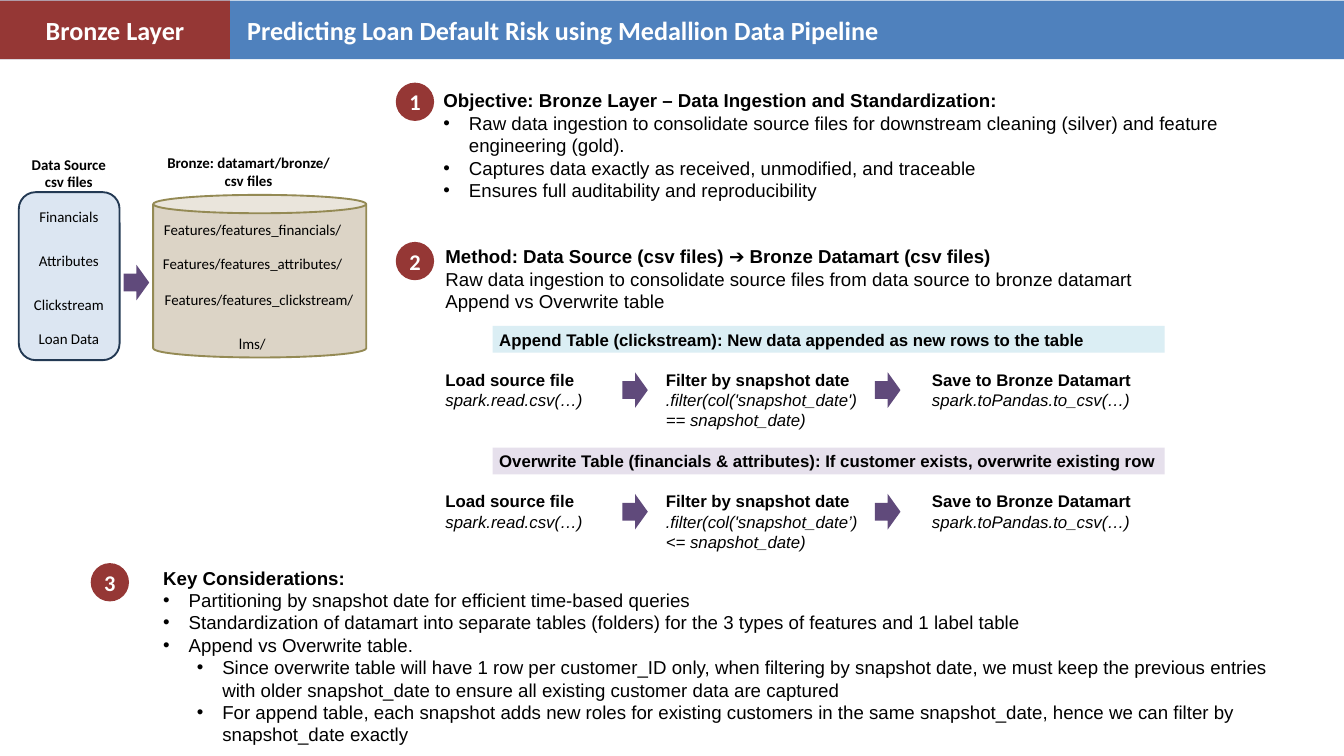
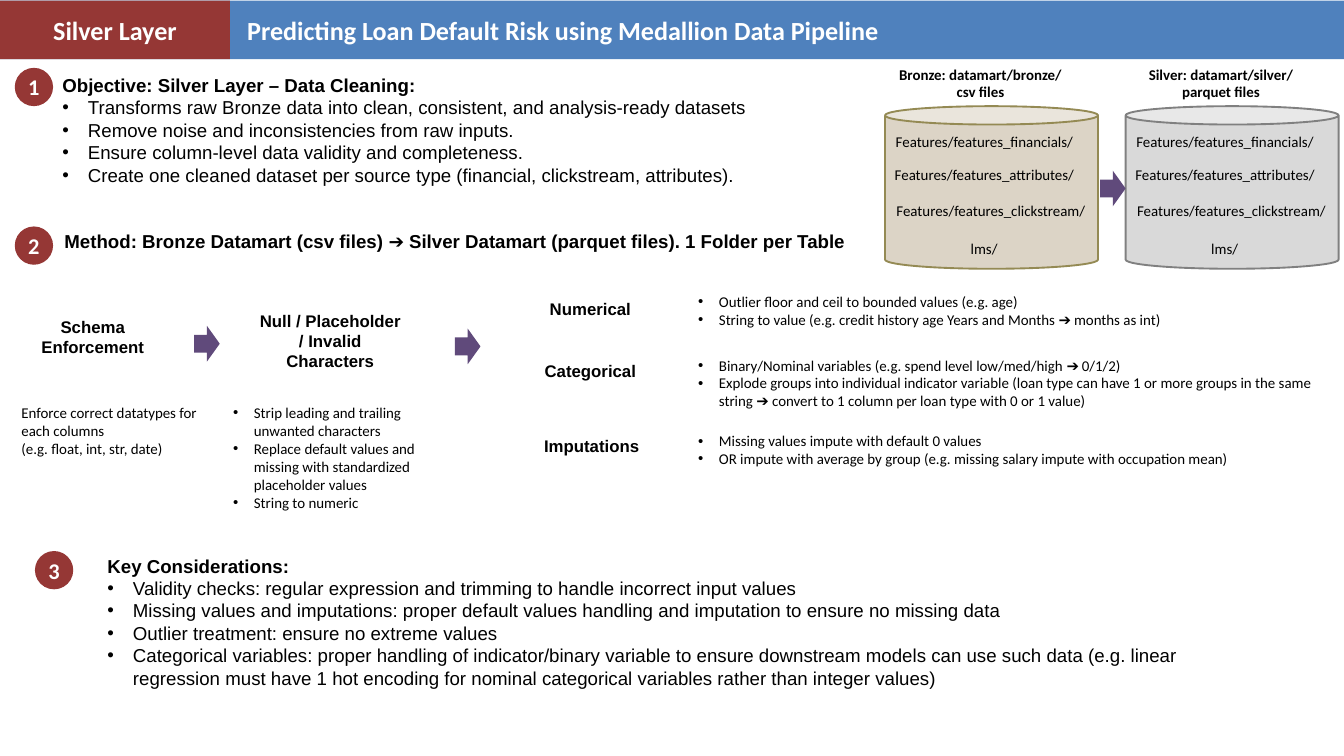
import pptx
import pptx.util
import pptx.dml.color
import pptx.enum.shapes
import pptx.enum.text
import lxml.etree

Inches = pptx.util.Inches
RGBColor = pptx.dml.color.RGBColor
Shape = pptx.enum.shapes.MSO_SHAPE
LEFT = pptx.enum.text.PP_ALIGN.LEFT
CENTER = pptx.enum.text.PP_ALIGN.CENTER

BLUE = RGBColor(0x4F, 0x81, 0xBD)
RED = RGBColor(0x95, 0x37, 0x35)
PURPLE = RGBColor(0x60, 0x4A, 0x7B)
WHITE = RGBColor(0xFF, 0xFF, 0xFF)
BLACK = RGBColor(0x00, 0x00, 0x00)
PALE_BLUE = RGBColor(0xDC, 0xE6, 0xF2)
NAVY = RGBColor(0x23, 0x39, 0x53)
SAND = RGBColor(0xDC, 0xD4, 0xC6)
OLIVE = RGBColor(0x94, 0x8A, 0x54)
SILVER = RGBColor(0xD9, 0xD9, 0xD9)
GREY = RGBColor(0x80, 0x80, 0x80)
PALE_TEAL = RGBColor(0xDB, 0xEE, 0xF4)
PALE_PURPLE = RGBColor(0xE6, 0xE0, 0xEC)


def draw(page, kind, place, fill, edge=None):
    """Add a flat preset shape; without an edge colour it has no outline."""
    shape = page.shapes.add_shape(kind, *map(Inches, place))
    shape.shadow.inherit = False
    shape.fill.solid()
    shape.fill.fore_color.rgb = fill
    if edge is None:
        shape.line.fill.background()
    else:
        shape.line.color.rgb = edge
        shape.line.width = pptx.util.Pt(2)
    return shape


def write(page, target, lines, size=16, font="Calibri", color=BLACK, align=LEFT):
    """Write (style, text) lines into a shape, or a new text box if target is a place.

    Styles: plain, bold, italic, bullet, sub (a bullet one level down).
    """
    if isinstance(target, tuple):
        target = page.shapes.add_textbox(*map(Inches, target))
    frame = target.text_frame
    frame.word_wrap = True
    for index, (style, text) in enumerate(lines):
        para = frame.paragraphs[0] if index == 0 else frame.add_paragraph()
        para.text = text
        para.alignment = align
        para.font.name = font
        para.font.size = pptx.util.Pt(size)
        para.font.color.rgb = color
        para.font.bold = style == "bold"
        para.font.italic = style == "italic"
        if style in ("bullet", "sub"):
            hang = 0.38 if size > 16 else 0.31
            para.level = 1 if style == "sub" else 0
            properties = para._p.get_or_add_pPr()
            properties.set("marL", str(Inches(hang + 0.5 * para.level)))
            properties.set("indent", str(Inches(-hang)))
            namespace = properties.nsmap["a"]
            bullet_font = lxml.etree.SubElement(properties, f"{{{namespace}}}buFont")
            bullet_font.set("typeface", "Arial")
            bullet = lxml.etree.SubElement(properties, f"{{{namespace}}}buChar")
            bullet.set("char", "•")


deck = pptx.Presentation()
deck.slide_width = Inches(20)
deck.slide_height = Inches(11.25)

# Header band on every page
pages = []
for layer in ("Bronze Layer", "Silver Layer"):
    page = deck.slides.add_slide(deck.slide_layouts[6])
    draw(page, Shape.RECTANGLE, (0, 0.01, 20, 0.87), BLUE)
    tab = draw(page, Shape.RECTANGLE, (0, 0.01, 3.42, 0.87), RED)
    write(page, tab, [("bold", layer)], 28, color=WHITE, align=CENTER)
    write(page, (3.58, 0.16, 12.17, 0.57),
          [("bold", "Predicting Loan Default Risk using Medallion Data Pipeline")],
          28, color=WHITE)
    pages.append(page)
bronze, silver = pages

# Numbered sections: page, number, badge corner, text place, lines
sections = [
    (bronze, "1", (5.89, 1.23), (6.5, 1.28, 13, 2.12), [
        ("bold", "Objective: Bronze Layer – Data Ingestion and Standardization:"),
        ("bullet", "Raw data ingestion to consolidate source files for downstream "
                   "cleaning (silver) and feature engineering (gold)."),
        ("bullet", "Captures data exactly as received, unmodified, and traceable"),
        ("bullet", "Ensures full auditability and reproducibility"),
    ]),
    (bronze, "2", (5.89, 3.6), (6.53, 3.6, 13, 1.78), [
        ("bold", "Method: Data Source (csv files) ➔ Bronze Datamart (csv files)"),
        ("plain", "Raw data ingestion to consolidate source files from data source "
                  "to bronze datamart"),
        ("plain", "Append vs Overwrite table"),
    ]),
    (bronze, "3", (1.35, 8.38), (2.33, 8.38, 17.2, 2.79), [
        ("bold", "Key Considerations:"),
        ("bullet", "Partitioning by snapshot date for efficient time-based queries"),
        ("bullet", "Standardization of datamart into separate tables (folders) for "
                   "the 3 types of features and 1 label table"),
        ("bullet", "Append vs Overwrite table."),
        ("sub", "Since overwrite table will have 1 row per customer_ID only, when "
                "filtering by snapshot date, we must keep the previous entries with "
                "older snapshot_date to ensure all existing customer data are captured"),
        ("sub", "For append table, each snapshot adds new roles for existing customers "
                "in the same snapshot_date, hence we can filter by snapshot_date exactly"),
    ]),
    (silver, "1", (0.22, 1.01), (0.83, 1.05, 13, 1.78), [
        ("bold", "Objective: Silver Layer – Data Cleaning:"),
        ("bullet", "Transforms raw Bronze data into clean, consistent, and "
                   "analysis-ready datasets"),
        ("bullet", "Remove noise and inconsistencies from raw inputs."),
        ("bullet", "Ensure column-level data validity and completeness."),
        ("bullet", "Create one cleaned dataset per source type (financial, "
                   "clickstream, attributes)."),
    ]),
    (silver, "2", (0.22, 3.37), (0.86, 3.37, 13, 1.11), [
        ("bold", "Method: Bronze Datamart (csv files) ➔ Silver Datamart (parquet "
                 "files). 1 Folder per Table"),
    ]),
    (silver, "3", (0.52, 8.2), (1.5, 8.2, 17.2, 2.12), [
        ("bold", "Key Considerations:"),
        ("bullet", "Validity checks: regular expression and trimming to handle "
                   "incorrect input values"),
        ("bullet", "Missing values and imputations: proper default values handling "
                   "and imputation to ensure no missing data"),
        ("bullet", "Outlier treatment: ensure no extreme values"),
        ("bullet", "Categorical variables: proper handling of indicator/binary "
                   "variable to ensure downstream models can use such data (e.g. "
                   "linear regression must have 1 hot encoding for nominal "
                   "categorical variables rather than integer values)"),
    ]),
]
for page, number, corner, place, lines in sections:
    badge = draw(page, Shape.OVAL, (*corner, 0.57, 0.57), RED)
    badge.text_frame.margin_left = badge.text_frame.margin_right = 0
    write(page, badge, [("bold", number)], 24, color=WHITE, align=CENTER)
    write(page, place, lines, 20, "Arial")

# Data source box
draw(bronze, Shape.ROUNDED_RECTANGLE, (0.28, 2.86, 1.5, 2.5), PALE_BLUE, NAVY)
write(bronze, (0.36, 2.26, 1.33, 0.64),
      [("bold", "Data Source"), ("bold", "csv files")], align=CENTER)
for top, source in ((3.04, "Financials"), (3.69, "Attributes"),
                    (4.35, "Clickstream"), (4.85, "Loan Data")):
    write(bronze, (0.36, top, 1.33, 0.37), [("plain", source)], align=CENTER)

# Datamart cylinders; the last value is how far down the lms/ label sits
datamarts = [
    (bronze, 2.28, 2.9, "Bronze: datamart/bronze/", "csv files", SAND, OLIVE, 2.03),
    (silver, 13.17, 1.58, "Bronze: datamart/bronze/", "csv files", SAND, OLIVE, 1.94),
    (silver, 16.75, 1.58, "Silver: datamart/silver/", "parquet files", SILVER, GREY, 1.94),
]
for page, left, top, folder, file_type, fill, edge, lms_drop in datamarts:
    cylinder = draw(page, Shape.CAN, (left, top, 3.17, 2.42), fill, edge)
    cylinder.adjustments[0] = 0.113
    write(page, (left, top - 0.66, 2.84, 0.64),
          [("bold", folder), ("bold", file_type)], align=CENTER)
    for shift, drop, width, table in (
            (-0.02, 0.34, 3, "Features/features_financials/"),
            (-0.02, 0.84, 3, "Features/features_attributes/"),
            (-0.02, 1.37, 3.19, "Features/features_clickstream/"),
            (0.81, lms_drop, 1.33, "lms/")):
        write(page, (left + shift, top + drop, width, 0.37),
              [("plain", table)], align=CENTER)

# Append and overwrite flows
flows = [
    (4.85, PALE_TEAL,
     "Append Table (clickstream): New data appended as new rows to the table",
     ".filter(col('snapshot_date') == snapshot_date)"),
    (6.66, PALE_PURPLE,
     "Overwrite Table (financials & attributes): If customer exists, overwrite existing row",
     ".filter(col('snapshot_date’) <= snapshot_date)"),
]
for top, fill, rule, filter_code in flows:
    banner = draw(bronze, Shape.RECTANGLE, (7.33, top, 10, 0.4), fill)
    write(bronze, banner, [("bold", rule)], 18, "Arial")
    for left, width, step, code in (
            (6.53, 2.26, "Load source file", "spark.read.csv(…)"),
            (9.81, 3.27, "Filter by snapshot date", filter_code),
            (13.77, 3.19, "Save to Bronze Datamart", "spark.toPandas.to_csv(…)")):
        write(bronze, (left, top + 0.6, width, 0.71),
              [("bold", step), ("italic", code)], 18, "Arial")

# Cleaning steps
for place, step in (
        ((0.42, 4.66, 1.92, 0.71), "Schema Enforcement"),
        ((3.75, 4.57, 2.33, 1.01), "Null / Placeholder / Invalid Characters"),
        ((7.62, 4.4, 2.33, 0.4), "Numerical"),
        ((7.62, 5.32, 2.33, 0.4), "Categorical"),
        ((7.64, 6.44, 2.33, 0.4), "Imputations")):
    write(silver, place, [("bold", step)], 18, "Arial", align=CENTER)

details = [
    ((0.22, 5.96, 2.86, 0.94), "plain", [
        "Enforce correct datatypes for each columns",
        "(e.g. float, int, str, date)"]),
    ((3.37, 5.96, 3.6, 1.75), "bullet", [
        "Strip leading and trailing unwanted characters",
        "Replace default values and missing with standardized placeholder values",
        "String to numeric"]),
    ((10.29, 4.31, 9.08, 0.64), "bullet", [
        "Outlier floor and ceil to bounded values (e.g. age)",
        "String to value (e.g. credit history age Years and Months ➔ months as int)"]),
    ((10.29, 5.25, 9.81, 0.91), "bullet", [
        "Binary/Nominal variables (e.g. spend level low/med/high ➔ 0/1/2)",
        "Explode groups into individual indicator variable (loan type can have 1 or "
        "more groups in the same string ➔ convert to 1 column per loan type with 0 "
        "or 1 value)"]),
    ((10.29, 6.38, 9.81, 0.64), "bullet", [
        "Missing values impute with default 0 values",
        "OR impute with average by group (e.g. missing salary impute with occupation mean)"]),
]
for place, style, texts in details:
    write(silver, place, [(style, text) for text in texts])

# Flow arrows
for page, corners in (
        (bronze, ((1.84, 3.94), (9.26, 5.54), (13.02, 5.54), (9.26, 7.35), (13.02, 7.35))),
        (silver, ((2.89, 4.85), (6.77, 4.89), (16.37, 2.54)))):
    for corner in corners:
        draw(page, Shape.RIGHT_ARROW, (*corner, 0.38, 0.53), PURPLE)

deck.save("out.pptx")
